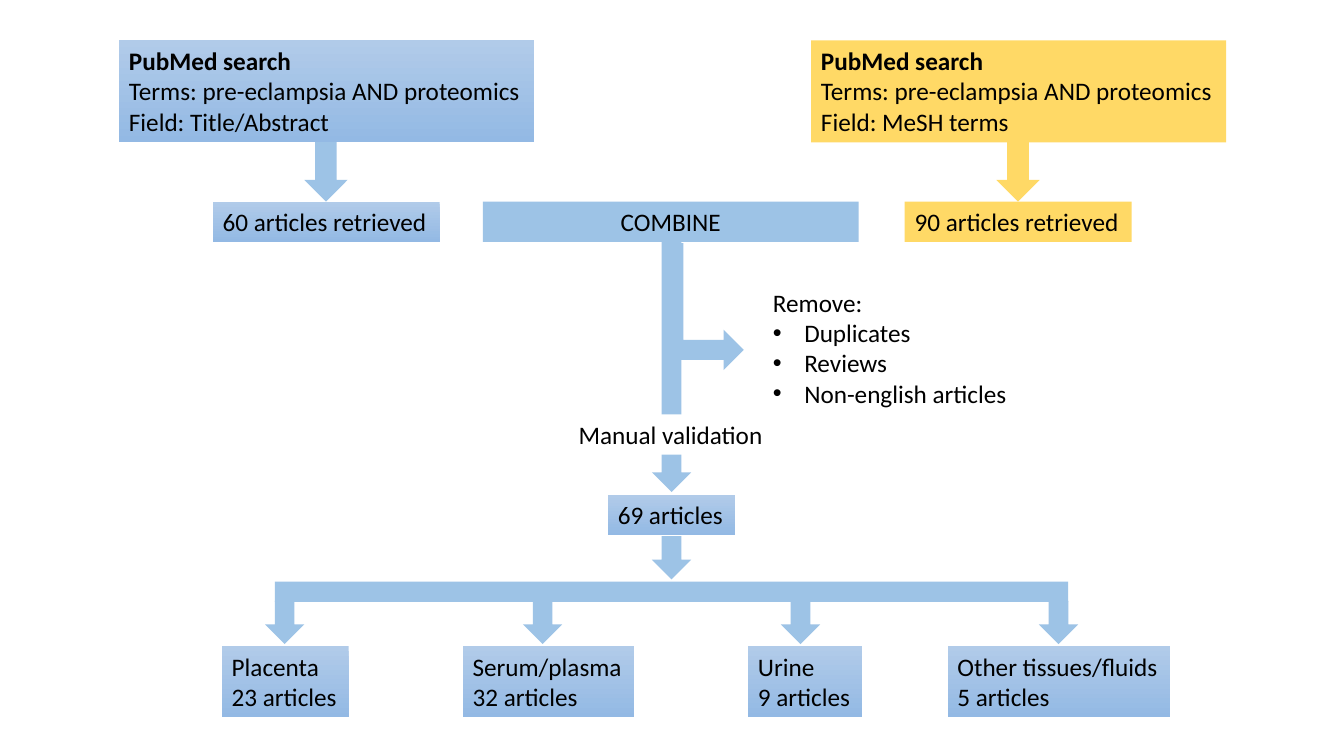
from pptx import Presentation
from pptx.dml.color import RGBColor
from pptx.enum.shapes import MSO_SHAPE
from pptx.enum.text import MSO_ANCHOR, MSO_AUTO_SIZE, PP_ALIGN
from pptx.oxml.ns import qn
from pptx.util import Cm, Pt

RECT = MSO_SHAPE.RECTANGLE
DOWN = MSO_SHAPE.DOWN_ARROW
BENT = MSO_SHAPE.BENT_UP_ARROW
FIT = MSO_AUTO_SIZE.SHAPE_TO_FIT_TEXT
TOP = MSO_ANCHOR.TOP
LEFT, CENTER = PP_ALIGN.LEFT, PP_ALIGN.CENTER

COLORS = {
    "light": "B1CBE9",
    "dark": "93B9E4",
    "blue": "9DC3E6",
    "yellow": "FFD966",
    "white": "FFFFFF",
    "text": "000000",
}


def add_block(kind, x, y, w, h, fill):
    """Add a shape without outline; the fill "gradient" runs from light to dark."""
    sp = s.shapes.add_shape(kind, Cm(x), Cm(y), Cm(w), Cm(h))
    sp.shadow.inherit = False
    sp.line.fill.background()
    if fill == "gradient":
        sp.fill.gradient()
        sp.fill.gradient_angle = 270
        for stop, name in zip(sp.fill.gradient_stops, ("light", "dark")):
            stop.color.rgb = RGBColor.from_string(COLORS[name])
    else:
        sp.fill.solid()
        sp.fill.fore_color.rgb = RGBColor.from_string(COLORS[fill])
    return sp


def add_lines(sp, lines, bold_first=False, bullets=False):
    """Write one left-aligned paragraph per line; bullets start at the second."""
    tf = sp.text_frame
    tf.word_wrap = False
    tf.auto_size = FIT
    tf.vertical_anchor = TOP
    for i, line in enumerate(lines):
        p = tf.paragraphs[0] if i == 0 else tf.add_paragraph()
        p.alignment = LEFT
        if bullets and i > 0:
            pPr = p._p.get_or_add_pPr()
            pPr.set("marL", str(Cm(0.79)))
            pPr.set("indent", str(-Cm(0.79)))
            font = pPr.makeelement(qn("a:buFont"), {"typeface": "Arial"})
            char = pPr.makeelement(qn("a:buChar"), {"char": "•"})
            pPr.extend([font, char])
        r = p.add_run()
        r.text = line
        r.font.name = "Calibri"
        r.font.size = Pt(18)
        r.font.bold = bold_first and i == 0
        r.font.color.rgb = RGBColor.from_string(COLORS["text"])


prs = Presentation()
prs.slide_width = Cm(33.87)
prs.slide_height = Cm(19.05)
s = prs.slides.add_slide(prs.slide_layouts[6])

# Two searches and their results
searches = [
    (0, "gradient", "blue", "Title/Abstract", 60),
    (17.44, "yellow", "yellow", "MeSH terms", 90),
]
for dx, box_fill, arrow_fill, field, count in searches:
    search = add_block(RECT, 3 + dx, 1.02, 10.46, 2.57, box_fill)
    add_lines(search, ["PubMed search", "Terms: pre-eclampsia AND proteomics",
                       f"Field: {field}"], bold_first=True)
    add_block(DOWN, 7.67 + dx, 3.58, 1.09, 1.5, arrow_fill)
    result = add_block(RECT, 5.36 + dx, 5.08, 5.72, 1.02, box_fill)
    add_lines(result, [f"{count} articles retrieved"])

# Combining and filtering
combine = add_block(RECT, 12.17, 5.08, 9.47, 1.02, "blue")
add_lines(combine, ["COMBINE"])
combine.text_frame.word_wrap = True
combine.text_frame.auto_size = MSO_AUTO_SIZE.NONE
combine.text_frame.vertical_anchor = MSO_ANCHOR.MIDDLE
combine.text_frame.paragraphs[0].alignment = CENTER

add_block(DOWN, 16.43, 6.1, 0.99, 6.3, "blue")
remaining = add_block(RECT, 15.32, 12.47, 3.2, 1.02, "gradient")
add_lines(remaining, ["69 articles"])
remove_arrow = add_block(BENT, 16.13, 6.71, 3.2, 2.03, "blue")
remove_arrow.rotation = 90
remove = s.shapes.add_textbox(Cm(19.23), Cm(7.11), Cm(6.48), Cm(3.33))
add_lines(remove, ["Remove:", "Duplicates", "Reviews", "Non-english articles"],
          bullets=True)
validation = add_block(RECT, 14.33, 10.44, 5.21, 1.02, "white")
add_lines(validation, ["Manual validation"])

# Split by sample type
add_block(RECT, 6.93, 14.66, 19.99, 0.51, "blue")
add_block(DOWN, 16.43, 13.51, 0.99, 1.09, "blue")
samples = [
    ("Placenta", 23, 5.59, 3.2),
    ("Serum/plasma", 32, 11.66, 4.32),
    ("Urine", 9, 18.85, 2.87),
    ("Other tissues/fluids", 5, 23.88, 5.61),
]
for i, (sample, count, x, w) in enumerate(samples):
    add_block(DOWN, 6.68 + 6.5 * i, 15.14, 0.99, 1.09, "blue")
    box = add_block(RECT, x, 16.28, w, 1.8, "gradient")
    add_lines(box, [sample, f"{count} articles"])

prs.save("out.pptx")
